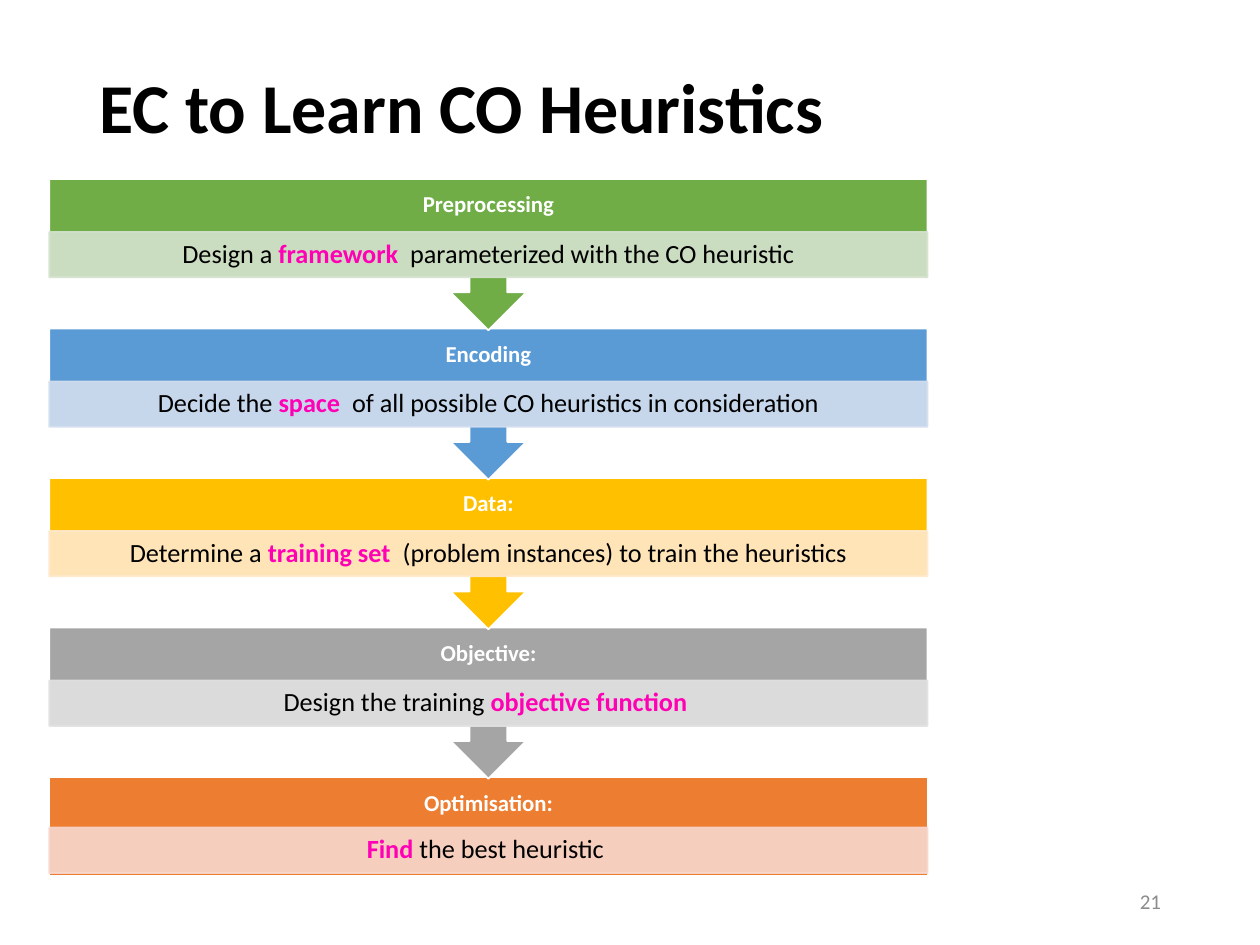
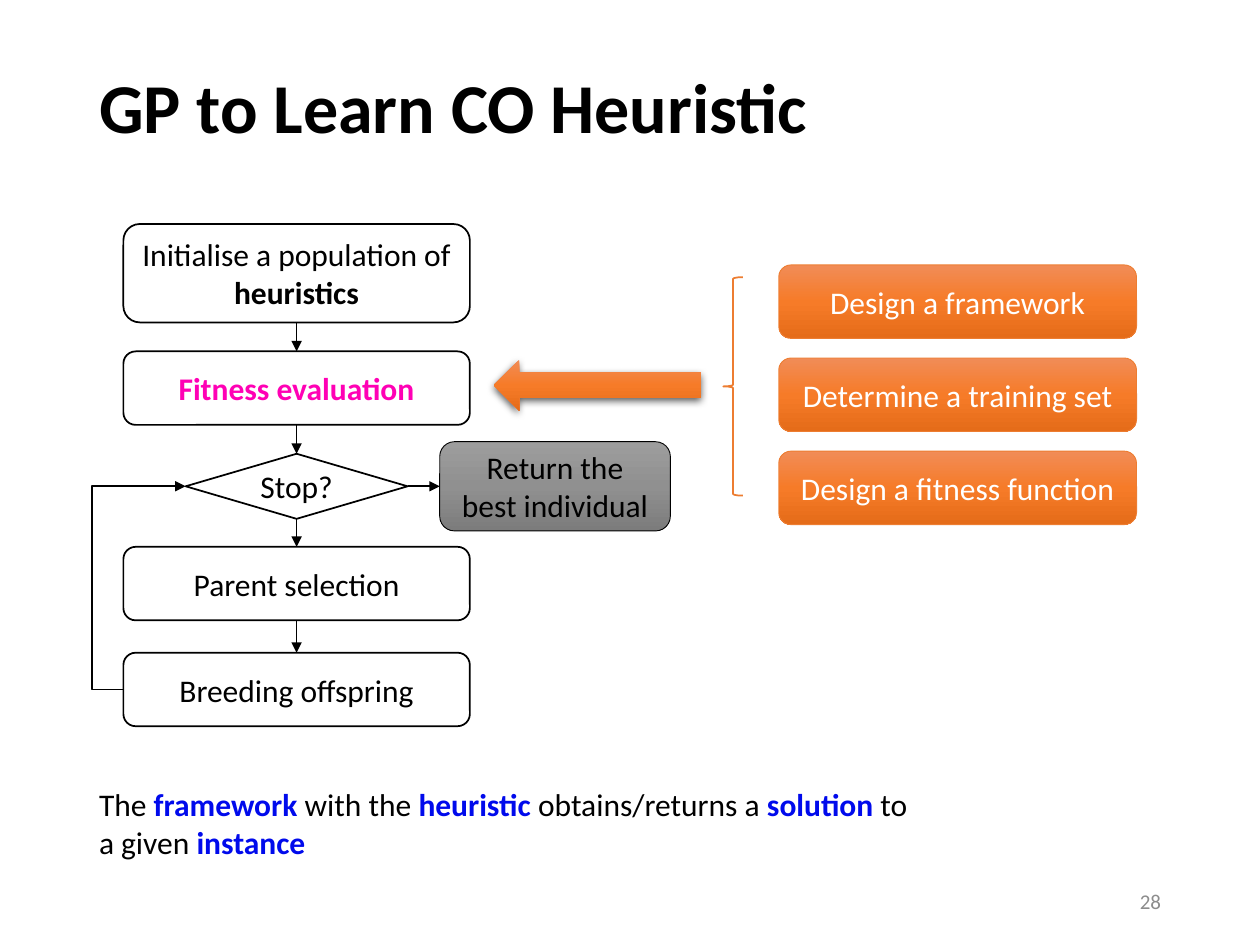
"""Builds two slides on learning combinatorial heuristics with evolution."""
from copy import deepcopy
from dataclasses import dataclass

from pptx import Presentation
from pptx.dml.color import RGBColor
from pptx.enum import shapes as es, text as et
from pptx.oxml import ns, xmlchemy as xc
from pptx.util import Pt

KIND = es.MSO_SHAPE
MID = et.MSO_ANCHOR.MIDDLE
TOP = et.MSO_ANCHOR.TOP
LEFT, CENTER, RIGHT = et.PP_ALIGN.LEFT, et.PP_ALIGN.CENTER, et.PP_ALIGN.RIGHT


@dataclass(frozen=True)
class Theme:
    """Colours, font and type sizes of the deck."""
    font: str = "Calibri"
    black: str = "000000"
    white: str = "FFFFFF"
    grey: str = "8C8C8C"
    pink: str = "FF00B5"
    blue: str = "000AEC"
    edge: str = "ED7D31"
    warm: tuple = ("F18C57", "F67B28", "E56C19")
    cool: tuple = ("9D9D9D", "909090", "7C7C7C")
    title: int = 40
    body: int = 18
    slab: int = 15
    head: int = 13
    page: int = 12


T = Theme()

STAGES = [
    ("Preprocessing", "Design a *framework * parameterized with the CO heuristic", "70AD47", "D5E3CF"),
    ("Encoding", "Decide the *space * of all possible CO heuristics in consideration", "5B9BD5", "D2DEEF"),
    ("Data:", "Determine a *training set * (problem instances) to train the heuristics", "FFC000", "FFE8CC"),
    ("Objective:", "Design the training *objective function *", "A5A5A5", "E1E1E1"),
    ("Optimisation:", "*Find* the best heuristic ", "ED7D31", "F8D7CE"),
]

STEPS = [
    (KIND.ROUNDED_RECTANGLE, "Initialise a population of *heuristics*", T.black, 198, 56.2, 16.6),
    (KIND.ROUNDED_RECTANGLE, "*Fitness evaluation*", T.pink, 198, 42, 16.5),
    (KIND.DIAMOND, "Stop?", T.black, 126.8, 37.2, 16),
    (KIND.ROUNDED_RECTANGLE, "Parent selection", T.black, 198, 42, 18.5),
    (KIND.ROUNDED_RECTANGLE, "Breeding offspring", T.black, 198, 42, 0),
]

TASKS = ["Design a framework", "Determine a training set", "Design a fitness function"]

NOTE = ("The *framework* with the *heuristic *obtains/returns a *solution*"
        " to a given *instance*")


def rgb(code):
    """Turn a hex code into a colour."""
    return RGBColor.from_string(code)


def write(shape, words, size=T.body, color=T.black, mark=None, bold=False,
          align=CENTER, anchor=MID, inset=(7.2, 3.6), lead=None):
    """Write words in a shape; parts between asterisks are bold in the mark colour."""
    frame = shape.text_frame
    frame.word_wrap = True
    frame.vertical_anchor = anchor
    frame.margin_left = frame.margin_right = Pt(inset[0])
    frame.margin_top = frame.margin_bottom = Pt(inset[1])
    para = frame.paragraphs[0]
    para.alignment = align
    if lead:
        para.line_spacing = lead
    for i, part in enumerate(words.split("*")):
        if part:
            run = para.add_run()
            run.text = part
            font = run.font
            font.name, font.size = T.font, Pt(size)
            font.bold = bold or i % 2 == 1
            font.color.rgb = rgb(mark if mark and i % 2 else color)


def label(slide, box, words, **fmt):
    """Add a text box."""
    write(slide.shapes.add_textbox(*map(Pt, box)), words, **fmt)


def shade(shape, tones):
    """Fill a shape with three tones from top to bottom."""
    shape.fill.gradient()
    shape.fill.gradient_angle = 270
    stops = shape._element.spPr.find(".//" + ns.qn("a:gsLst"))
    stops.insert(1, deepcopy(stops[0]))
    for i, stop in enumerate(shape.fill.gradient_stops):
        stop.position = i / 2
        stop.color.rgb = rgb(tones[i])


def draw(slide, kind, box, fill=None, line=None, width=1):
    """Add a preset shape; a tuple as fill makes a gradient."""
    shape = slide.shapes.add_shape(kind, *map(Pt, box))
    shape.shadow.inherit = False
    if isinstance(fill, tuple):
        shade(shape, fill)
    elif fill:
        shape.fill.solid()
        shape.fill.fore_color.rgb = rgb(fill)
    else:
        shape.fill.background()
    if line:
        shape.line.color.rgb = rgb(line)
        shape.line.width = Pt(width)
    else:
        shape.line.fill.background()
    return shape


def add(parent, tag, **attrs):
    """Append a drawing element with attributes."""
    node = xc.OxmlElement(tag)
    for key, val in attrs.items():
        node.set(key, str(val))
    parent.append(node)
    return node


def fade(shape, share):
    """Make the fill and line of a shape partly clear."""
    for tint in shape._element.spPr.iter(ns.qn("a:srgbClr")):
        add(tint, "a:alpha", val=share * 1000)


def arrow(slide, kind, ends=(0, 0, 0, 0)):
    """Add a black connector with a triangle at its end."""
    wire = slide.shapes.add_connector(kind, *ends)
    wire.line.color.rgb = rgb(T.black)
    wire.line.width = Pt(1)
    add(wire.line._get_or_add_ln(), "a:tailEnd", type="triangle")
    add(wire._element.spPr, "a:effectLst")
    return wire


def link(slide, a, i, b, j):
    """Join side i of shape a to side j of shape b."""
    wire = arrow(slide, es.MSO_CONNECTOR.STRAIGHT)
    wire.begin_connect(a, i)
    wire.end_connect(b, j)


def start(deck, title, page):
    """Add a slide with its title and page number."""
    slide = deck.slides.add_slide(deck.slide_layouts[5])
    head = slide.shapes.title
    head.left, head.top, head.width, head.height = map(Pt, (49.5, 28.75, 621, 69.6))
    write(head, title, size=T.title, bold=True, align=LEFT, lead=0.9)
    label(slide, (508.5, 500.5, 162, 28.75), page, size=T.page, color=T.grey, align=RIGHT)
    return slide


def stages(deck):
    """Build the chain of design stages."""
    slide = start(deck, "EC to Learn CO Heuristics", "21")
    left, top, wide, pitch, slab = 28.2, 102.3, 501.8, 85.45, 26
    last = len(STAGES) - 1
    for i, (name, words, dark, pale) in reversed(list(enumerate(STAGES))):
        y = top + i * pitch
        kind, tall, drop = ((KIND.RECTANGLE, 56.2, 28.8) if i == last
                            else (KIND.DOWN_ARROW_CALLOUT, 86.4, 30.2))
        draw(slide, kind, (left, y, wide, tall), dark, T.white)
        label(slide, (left, y, wide, 30.2), name, size=T.head, color=T.white,
              bold=True, inset=(7.2, 7.2), lead=0.9)
        bar = draw(slide, KIND.RECTANGLE, (left, y + drop, wide, slab), pale, pale)
        fade(bar, 90)
        write(bar, words, size=T.slab, mark=T.pink, inset=(8.6, 1.4), lead=0.9)


def flow(deck):
    """Build the genetic programming flow chart."""
    slide = start(deck, "GP to Learn CO Heuristic", "28")
    axis, y, nodes = 169.5, 128, []
    for kind, words, color, wide, tall, gap in STEPS:
        node = draw(slide, kind, (axis - wide / 2, y, wide, tall), T.white, T.black)
        write(node, words, color=color)
        nodes.append(node)
        y += tall + gap
    for a, b in zip(nodes, nodes[1:]):
        link(slide, a, 2, b, 0)

    test, breed = nodes[2], nodes[-1]
    mid = test.top + test.height // 2
    loop = arrow(slide, es.MSO_CONNECTOR.ELBOW,
                 (breed.left, breed.top + breed.height // 2, test.left, mid))
    bend = loop._element.spPr.find(ns.qn("a:prstGeom"))
    add(bend.get_or_add_avLst(), "a:gd", name="adj1", fmla="val -50700")

    goal = draw(slide, KIND.ROUNDED_RECTANGLE, (251.3, mid / Pt(1) - 32, 131.8, 51),
                T.cool, T.black, 0.5)
    goal.top = mid - goal.height // 2
    write(goal, "Return the best individual")
    link(slide, test, 3, goal, 1)

    for i, words in enumerate(TASKS):
        task = draw(slide, KIND.ROUNDED_RECTANGLE, (445, 151.4 + i * 53.2, 204.5, 42),
                    T.warm, T.edge, 0.5)
        write(task, words, color=T.white)
    draw(slide, KIND.LEFT_BRACE, (413.3, 158.4, 11.2, 124.8), line=T.edge)
    feed = draw(slide, KIND.LEFT_ARROW, (282.2, 205.6, 118.3, 29), T.warm)
    glow = add(feed._element.spPr.find(ns.qn("a:effectLst")), "a:outerShdw",
               blurRad=Pt(4.5), dist=Pt(1.5), dir=5400000, algn="ctr", rotWithShape=0)
    add(add(glow, "a:srgbClr", val=T.black), "a:alpha", val=63000)
    label(slide, (49.5, 445, 477.5, 50.9), NOTE, mark=T.blue, align=LEFT, anchor=TOP)


def main():
    """Build and save the deck."""
    deck = Presentation()
    deck.slide_width, deck.slide_height = Pt(720), Pt(540)
    stages(deck)
    flow(deck)
    deck.save("out.pptx")


if __name__ == "__main__":
    main()
